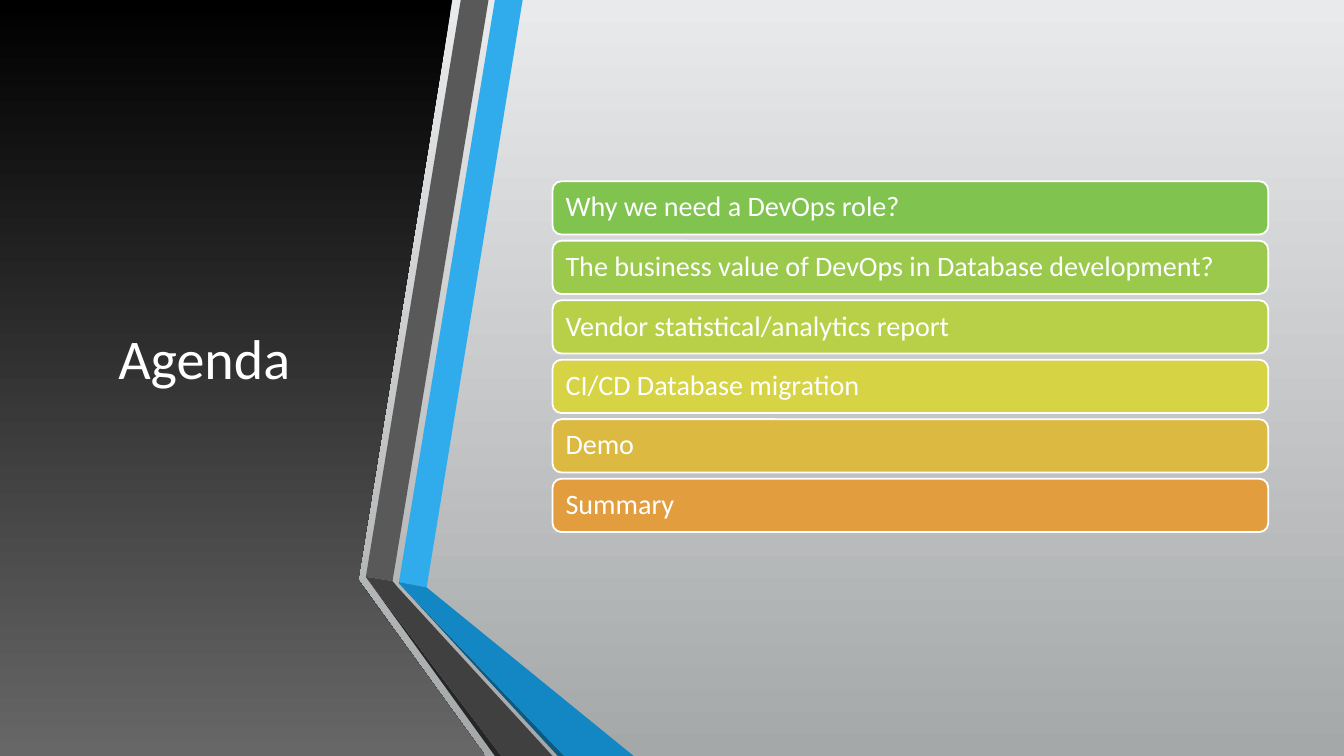
from pptx import Presentation
from pptx.dml.color import RGBColor
from pptx.enum.shapes import MSO_SHAPE as Shape
from pptx.enum.text import MSO_ANCHOR as Anchor, PP_ALIGN as Align
from pptx.util import Pt

PX = 9144  # 100 px to the inch
WIDE, HIGH = 1260, 709
FONT = "Calibri"
WHITE = "FFFFFF"

PANEL = [(0, 0), (424, 0), (336, 543), (336, 544), (455, 709), (0, 709)]

# Ribbon outlines, relative to the left edge of the ribbon
RIBBON = [
    ("30ACEC", [(31, 546), (57, 551), (147, 0), (121, 0)]),
    ("595959", [(115, 0), (89, 0), (0, 541), (25, 545)]),
    ("262626", [(0, 541), (121, 709), (127, 709)]),
    ("0C5A82", [(31, 547), (180, 709), (186, 709)]),
    ("1287C3", [(31, 547), (186, 709), (251, 709), (57, 551), (31, 546)]),
    ("404040", [(175, 709), (30, 551), (25, 545), (0, 541), (127, 709)]),
]

TOPICS = [
    ("Why we need a DevOps role?", "80C34F"),
    ("The business value of DevOps in Database development?", "9AC94B"),
    ("Vendor statistical/analytics report", "B8D048"),
    ("CI/CD Database migration", "D6D344"),
    ("Demo", "DCBA41"),
    ("Summary", "E29D3E"),
]


def color(code):
    return RGBColor.from_string(code)


def paint(fill, code):
    fill.solid()
    fill.fore_color.rgb = color(code)


def fade(fill, top, bottom):
    fill.gradient()
    fill.gradient_angle = 270
    for stop, code in zip(fill.gradient_stops, (top, bottom)):
        stop.color.rgb = color(code)


def outline(slide, points, left, top):
    spots = [(left + x, top + y) for x, y in points]
    pen = slide.shapes.build_freeform(*spots[0], scale=PX)
    pen.add_line_segments(spots[1:], close=True)
    shape = pen.convert_to_shape()
    shape.shadow.inherit = False
    shape.line.fill.background()
    return shape


def write(frame, text, size, align):
    frame.text = text
    frame.word_wrap = True
    frame.vertical_anchor = Anchor.MIDDLE
    para = frame.paragraphs[0]
    para.alignment = align
    font = para.runs[0].font
    font.name, font.size = FONT, Pt(size)
    font.color.rgb = color(WHITE)
    return para


# Dark panel with the title
def add_panel(slide, left, top, text):
    shape = outline(slide, PANEL, left, top)
    fade(shape.fill, "000000", "676767")
    box = slide.shapes.add_textbox((left + 55) * PX, (top + 71) * PX,
                                   273 * PX, 528 * PX)
    write(box.text_frame, text, 37.8, Align.CENTER)


# Folded ribbon along the panel edge
def add_ribbon(slide, left, top):
    for code, points in RIBBON:
        paint(outline(slide, points, left, top).fill, code)


# Stack of agenda bars, spread evenly over the box
def add_list(slide, left, top, width, height, bar=50):
    step = (height - bar) / (len(TOPICS) - 1)
    for i, (text, code) in enumerate(TOPICS):
        y = round((top + i * step) * PX)
        shape = slide.shapes.add_shape(Shape.ROUNDED_RECTANGLE, left * PX, y,
                                       width * PX, bar * PX)
        shape.shadow.inherit = False
        paint(shape.fill, code)
        shape.line.color.rgb = color(WHITE)
        shape.line.width = Pt(1.25)
        frame = shape.text_frame
        frame.margin_left = frame.margin_right = 10 * PX
        frame.margin_top = frame.margin_bottom = 8 * PX
        write(frame, text, 19, Align.LEFT).line_spacing = 0.9


def main():
    deck = Presentation()
    deck.slide_width, deck.slide_height = WIDE * PX, HIGH * PX
    slide = deck.slides.add_slide(deck.slide_layouts[6])
    fade(slide.background.fill, "E9EAEB", "A5A8A9")
    add_panel(slide, 0, 0, "Agenda")
    add_ribbon(slide, 343, 0)
    add_list(slide, 518, 170, 671, 329)
    deck.save("out.pptx")


if __name__ == "__main__":
    main()
